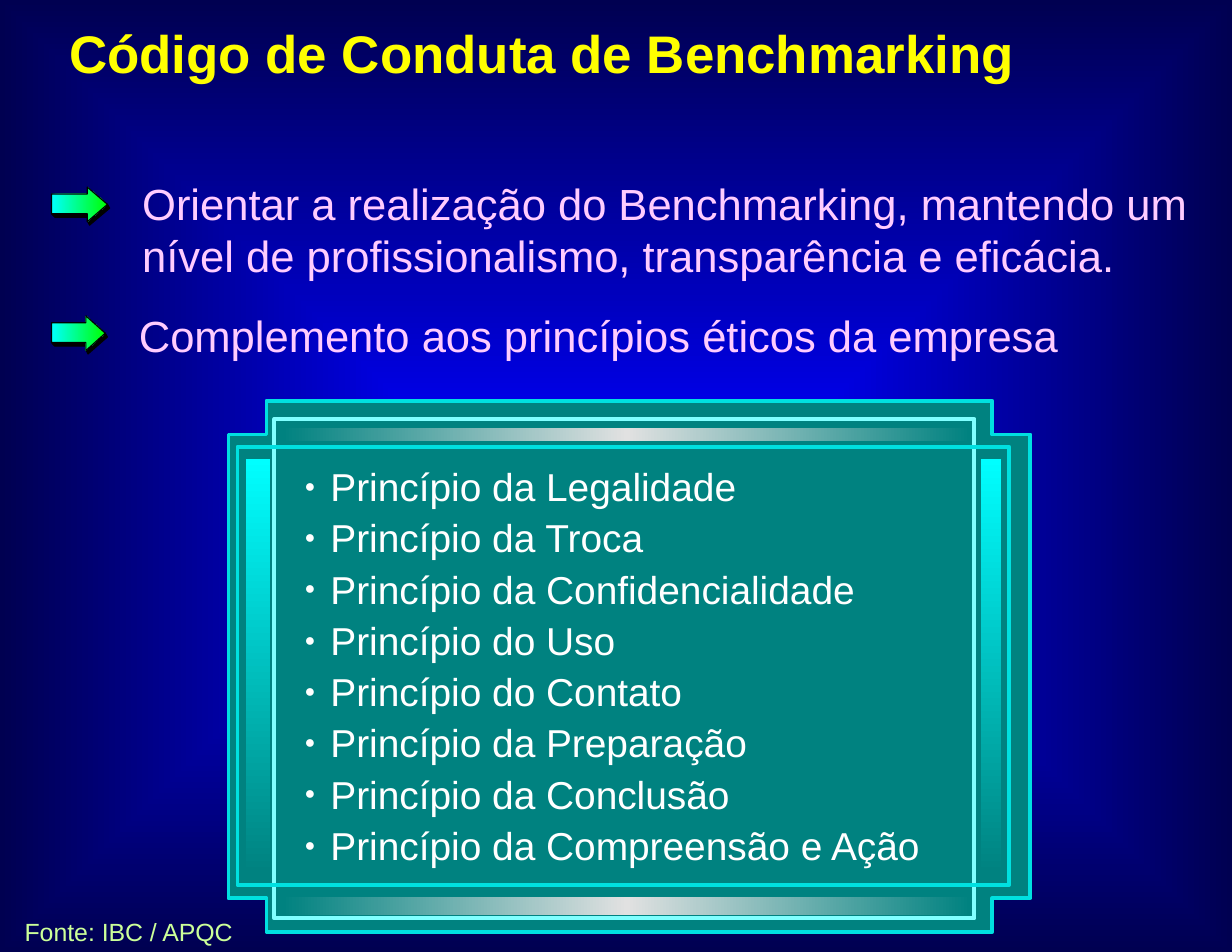
from dataclasses import dataclass

from pptx import Presentation
from pptx.dml.color import RGBColor
from pptx.enum.shapes import MSO_SHAPE as Preset
from pptx.oxml import parse_xml
from pptx.oxml.ns import nsdecls
from pptx.util import Inches, Pt

# The slide is a grid of 110 columns by 85 rows
COLUMNS, ROWS = 110, 85
SLIDE_WIDTH, SLIDE_HEIGHT = Inches(11), Inches(8.5)
FONT = "Arial"
COLORS = {
    "blue": "0000FF", "navy": "000051", "teal": "008280", "turquoise": "00E0E0",
    "ice": "80FFFF", "silver": "E1E1E1", "cyan": "00FFFF", "green": "00FF00",
    "black": "000000", "white": "FFFFFF", "pink": "FFCCFF", "lime": "CCFF99",
    "yellow": "FFFF00",
}
LINEAR = '<a:lin ang="{}" scaled="0"/>'
ACROSS, DOWN = LINEAR.format(0), LINEAR.format(5400000)
FROM_CENTRE = ('<a:path path="rect"><a:fillToRect l="50000" t="50000" '
               'r="50000" b="50000"/></a:path>')
PRINCIPLES = ["da Legalidade", "da Troca", "da Confidencialidade", "do Uso",
              "do Contato", "da Preparação", "da Conclusão",
              "da Compreensão e Ação"]


@dataclass
class Box:
    left: float
    top: float
    width: float
    height: float

    def inside(self, left, top, width, height):
        return Box(self.left + left, self.top + top, width, height)

    def point(self, across, down):
        """Position at the given shares of the box."""
        return (round((self.left + across * self.width) * SLIDE_WIDTH / COLUMNS),
                round((self.top + down * self.height) * SLIDE_HEIGHT / ROWS))

    def frame(self):
        left, top = self.point(0, 0)
        right, bottom = self.point(1, 1)
        return left, top, right - left, bottom - top


def rgb(name):
    return RGBColor.from_string(COLORS[name])


def apply_gradient(element, names, direction):
    """Turn the solid fill of an element into evenly spaced colour stops."""
    stops = "".join(
        f'<a:gs pos="{100000 * index // (len(names) - 1)}">'
        f'<a:srgbClr val="{COLORS[name]}"/></a:gs>'
        for index, name in enumerate(names))
    solid = element.xpath(".//a:solidFill")[0]
    solid.getparent().replace(solid, parse_xml(
        f'<a:gradFill {nsdecls("a")} rotWithShape="1">'
        f"<a:gsLst>{stops}</a:gsLst>{direction}</a:gradFill>"))


def style(shape, fill=(), line=None, weight=0.75, direction=ACROSS):
    shape.shadow.inherit = False
    if fill:
        shape.fill.solid()
        shape.fill.fore_color.rgb = rgb(fill[0])
        if len(fill) > 1:
            apply_gradient(shape.element.spPr, fill, direction)
    else:
        shape.fill.background()
    if line:
        shape.line.color.rgb = rgb(line)
        shape.line.width = Pt(weight)
    else:
        shape.line.fill.background()


def add_panel(shapes, box, **look):
    shape = shapes.add_shape(Preset.ROUNDED_RECTANGLE, *box.frame())
    shape.adjustments[0] = 0
    style(shape, **look)


def add_polygon(shapes, box, shares, **look):
    points = [box.point(*share) for share in shares]
    builder = shapes.build_freeform(*points[0], scale=1.0)
    builder.add_line_segments(points[1:], close=True)
    style(builder.convert_to_shape(), **look)


def add_text(shapes, box, lines, size, color, spacing=1.0, bold=False, bullet=False):
    text_frame = shapes.add_textbox(*box.frame()).text_frame
    text_frame.word_wrap = True
    text_frame.margin_left = text_frame.margin_right = 0
    text_frame.margin_top = text_frame.margin_bottom = 0
    for index, line in enumerate(lines):
        paragraph = text_frame.add_paragraph() if index else text_frame.paragraphs[0]
        if bullet:
            add_bullet(paragraph, color)
        paragraph.line_spacing = spacing
        run = paragraph.add_run()
        run.text = line
        run.font.name = FONT
        run.font.size = Pt(size)
        run.font.bold = bold
        run.font.color.rgb = rgb(color)


def add_bullet(paragraph, color):
    properties = paragraph._p.get_or_add_pPr()
    indent = Inches(0.23)
    properties.set("marL", str(indent))
    properties.set("indent", str(-indent))
    for tag in (f'<a:buClr {nsdecls("a")}><a:srgbClr val="{COLORS[color]}"/></a:buClr>',
                f'<a:buSzPct {nsdecls("a")} val="46000"/>',
                f'<a:buFont {nsdecls("a")} typeface="{FONT}"/>',
                f'<a:buChar {nsdecls("a")} char="●"/>'):
        properties.append(parse_xml(tag))


def add_arrow(shapes, box):
    # Shadow under the shaft, then under the head
    shaft_shadow = [(0, 0.77), (0.06, 0.87), (0.64, 0.87), (0.64, 0.77)]
    head_shadow = [(0.64, 0.97), (0.68, 1.1), (1.04, 0.61), (1, 0.5)]
    for shares in (shaft_shadow, head_shadow):
        add_polygon(shapes, box, shares, fill=["black"], line="black")
    # Arrow itself
    arrow = [(0, 0.2), (0.64, 0.2), (0.64, 0), (1, 0.5),
             (0.64, 1), (0.64, 0.77), (0, 0.77)]
    add_polygon(shapes, box, arrow, fill=["cyan", "green"], line="black")


def add_objective(slide, box, text, text_left, arrow_top, arrow_width):
    shapes = slide.shapes.add_group_shape().shapes
    add_text(shapes, box.inside(text_left, 0, box.width - text_left, box.height),
             [text], 28, "pink")
    add_arrow(shapes, box.inside(0, arrow_top, arrow_width, 3.1))


def add_plaque(slide, box):
    shapes = slide.shapes.add_group_shape().shapes
    # Notched plate
    near_x, near_y = 3.4 / box.width, 3 / box.height
    far_x, far_y = 1 - near_x, 1 - near_y
    plate = [(0, near_y), (near_x, near_y), (near_x, 0), (far_x, 0),
             (far_x, near_y), (1, near_y), (1, far_y), (far_x, far_y),
             (far_x, 1), (near_x, 1), (near_x, far_y), (0, far_y)]
    add_polygon(shapes, box, plate, fill=["teal"], line="turquoise", weight=2.5)
    # Crossing frames
    add_panel(shapes, box.inside(4.1, 1.6, 62.5, 44.6), line="ice", weight=2.5)
    add_panel(shapes, box.inside(0.8, 4.1, 68.9, 39.1), line="turquoise", weight=2.5)
    # Silver bars above and below
    for top, height in ((2.4, 1.2), (44.3, 1.6)):
        add_panel(shapes, box.inside(4.9, top, 61.3, height),
                  fill=["teal", "silver", "teal"])
    # Cyan pillars on both sides
    for left, width in ((1.5, 2.3), (67.1, 1.9)):
        add_panel(shapes, box.inside(left, 5.1, width, 37.1),
                  fill=["cyan", "teal"], line="teal", direction=DOWN)
    # List of principles
    add_text(slide.shapes, box.inside(6.8, 5.1, 58.6, 37.6),
             [f"Princípio {name}" for name in PRINCIPLES],
             25, "white", spacing=1.1, bullet=True)


def paint_background(slide):
    fill = slide.background.fill
    fill.solid()
    fill.fore_color.rgb = rgb("blue")
    apply_gradient(slide.element, ["blue", "navy"], FROM_CENTRE)


def main():
    presentation = Presentation()
    presentation.slide_width, presentation.slide_height = SLIDE_WIDTH, SLIDE_HEIGHT
    slide = presentation.slides.add_slide(presentation.slide_layouts[6])
    paint_background(slide)
    add_plaque(slide, Box(20.4, 35.8, 71.6, 47.4))
    add_objective(slide, Box(4.6, 15.8, 103.5, 8.5),
                  "Orientar a realização do Benchmarking, mantendo um nível de "
                  "profissionalismo, transparência e eficácia.", 8.1, 0.9, 5)
    add_objective(slide, Box(4.6, 27.6, 94.5, 4),
                  "Complemento aos princípios éticos da empresa", 7.8, 0.6, 4.8)
    # Source and title
    add_text(slide.shapes, Box(2.2, 81.8, 21, 3.2), ["Fonte: IBC / APQC"], 16, "lime")
    add_text(slide.shapes, Box(6.2, 2.5, 101.6, 5.7),
             ["Código de Conduta de Benchmarking"], 34, "yellow",
             spacing=0.9, bold=True)
    presentation.save("out.pptx")


if __name__ == "__main__":
    main()
